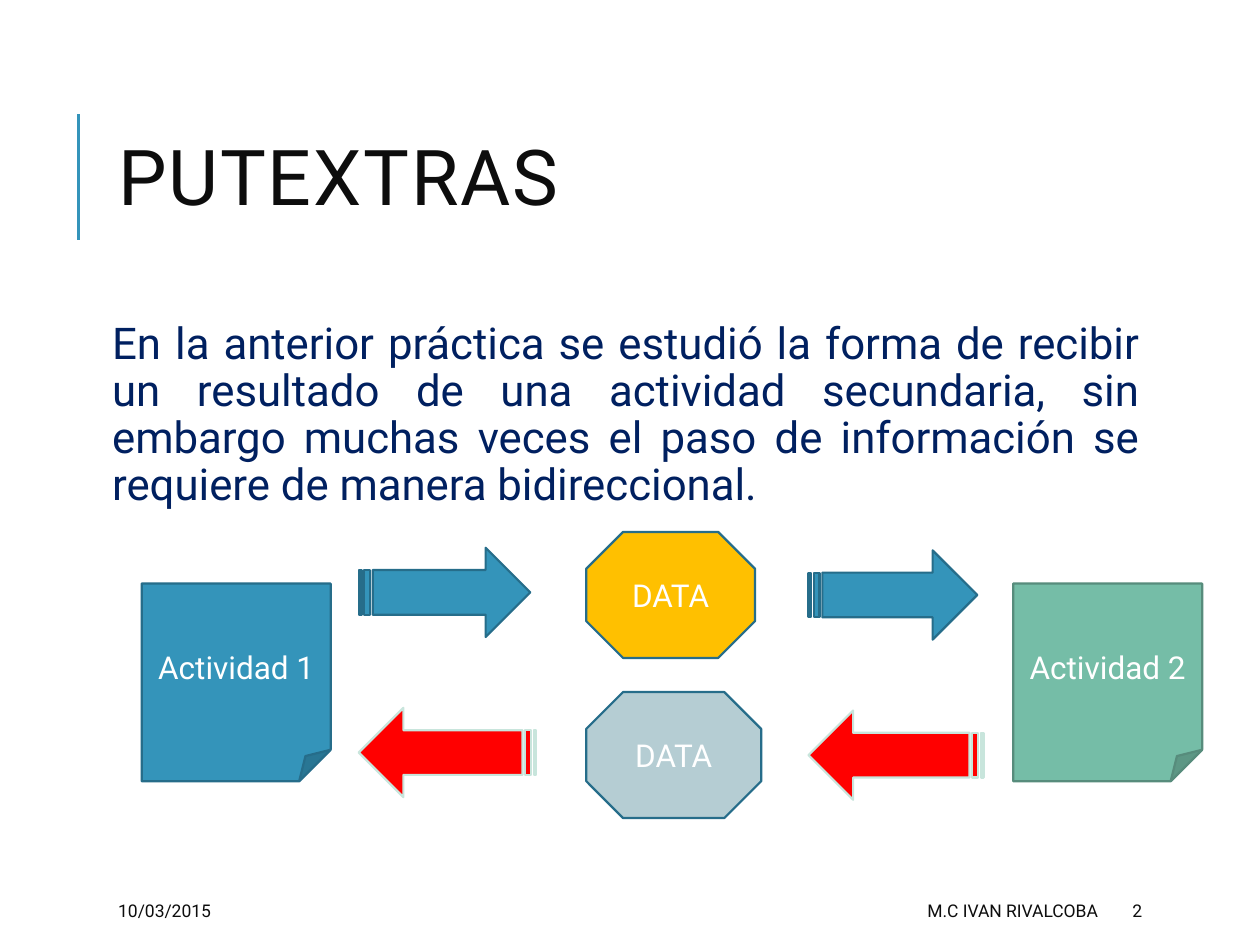
import pptx
import pptx.util
import pptx.dml.color
import pptx.enum.shapes
import pptx.enum.text
import lxml.etree
from dataclasses import dataclass

Pt = pptx.util.Pt
Shape = pptx.enum.shapes.MSO_SHAPE
Align = pptx.enum.text.PP_ALIGN
Anchor = pptx.enum.text.MSO_ANCHOR


@dataclass(frozen=True)
class Theme:
    font: str = "Roboto"
    ink: str = "0D0D0D"
    navy: str = "002060"
    white: str = "FFFFFF"
    blue: str = "3494BA"
    blue_edge: str = "266D8A"
    green: str = "75BDA7"
    green_edge: str = "578C7C"
    amber: str = "FFC000"
    grey: str = "B5CDD3"
    red: str = "FF0000"
    mint: str = "C8E5DC"
    title_size: float = 44
    body_size: float = 25
    label_size: float = 18
    footer_size: float = 10
    outline: float = 1.25


THEME = Theme()


def rgb(code):
    return pptx.dml.color.RGBColor.from_string(code)


def apply(target, values):
    for name, value in values.items():
        setattr(target, name, value)


def place(shape, box):
    apply(shape, dict(zip(("left", "top", "width", "height"), map(Pt, box))))


def write(shape, text, size, color, align=Align.LEFT, anchor=Anchor.MIDDLE,
          frame_format=None, paragraph_format=None):
    frame = shape.text_frame
    apply(frame, {"word_wrap": True, "auto_size": pptx.enum.text.MSO_AUTO_SIZE.NONE,
                  "vertical_anchor": anchor, **(frame_format or {})})
    paragraph = frame.paragraphs[0]
    apply(paragraph, {"alignment": align, **(paragraph_format or {})})
    run = paragraph.add_run()
    run.text = text
    apply(run.font, {"name": THEME.font, "size": Pt(size)})
    run.font.color.rgb = rgb(color)
    return run


def text_box(slide, box, *args, **formats):
    write(slide.shapes.add_textbox(*map(Pt, box)), *args, **formats)


def block(slide, kind, box, fill, edge, label=None, rotation=0):
    shape = slide.shapes.add_shape(kind, *map(Pt, box))
    shape.shadow.inherit = False
    shape.rotation = rotation
    shape.fill.solid()
    shape.fill.fore_color.rgb = rgb(fill)
    shape.line.color.rgb = rgb(edge)
    shape.line.width = Pt(THEME.outline)
    if label:
        write(shape, label, THEME.label_size, THEME.white, Align.CENTER)


# Title with the rule on its left
def heading(slide, box, text):
    left, top, width, height = box
    title = slide.shapes.title
    place(title, box)
    run = write(title, text, THEME.title_size, THEME.ink,
                paragraph_format={"line_spacing": 0.8})
    run.font._element.set("spc", "100")
    rule_x = left - 15.5
    rule = slide.shapes.add_connector(
        pptx.enum.shapes.MSO_CONNECTOR.STRAIGHT,
        *map(Pt, (rule_x, top + 91, rule_x, top + 19)))
    rule.line.color.rgb = rgb(THEME.blue)
    rule.line.width = Pt(1.5)
    properties = rule._element.spPr
    lxml.etree.SubElement(properties, pptx.oxml.ns.qn("a:effectLst"))


# Justified explanation
def explanation(slide, box, text):
    margins = ("margin_left", "margin_top", "margin_right", "margin_bottom")
    text_box(slide, box, text, THEME.body_size, THEME.navy,
             align=Align.JUSTIFY, anchor=Anchor.TOP,
             frame_format=dict.fromkeys(margins, Pt(3.6)),
             paragraph_format={"line_spacing": 0.9, "space_before": Pt(12),
                               "space_after": Pt(2)})


# Two activities exchanging data: one row of arrows each way
def exchange(slide, box):
    left, top, width, height = box
    note_width, note_height = 108, 113
    notes = (("Actividad 1", 0, THEME.blue, THEME.blue_edge),
             ("Actividad 2", width - note_width, THEME.green, THEME.green_edge))
    for label, offset, fill, edge in notes:
        block(slide, Shape.FOLDED_CORNER,
              (left + offset, top + 29.5, note_width, note_height), fill, edge, label)

    rows = ((0, 96.5, 98, THEME.blue, THEME.blue_edge, THEME.amber, 0),
            (91.5, 100, 101.5, THEME.red, THEME.mint, THEME.grey, 180))
    for row_top, data_width, arrow_width, fill, edge, data_fill, rotation in rows:
        for offset, drop, trim in ((124, 9, 0), (381, 10.5, 1.5)):
            block(slide, Shape.STRIPED_RIGHT_ARROW,
                  (left + offset, top + row_top + drop, arrow_width - trim, 51),
                  fill, edge, rotation=rotation)
        block(slide, Shape.OCTAGON, (left + 254, top + row_top, data_width, 72),
              data_fill, THEME.blue_edge, "DATA")


# Date, author and page number
def footer(slide, box, date, author, page):
    left, top, width, height = box
    parts = ((date, 0, 127.5, Align.LEFT),
             (author, 225.5, 348.5, Align.RIGHT),
             (page, width - 57.5, 57.5, Align.LEFT))
    for text, offset, part_width, align in parts:
        text_box(slide, (left + offset, top, part_width, height), text,
                 THEME.footer_size, THEME.ink, align=align)


deck = pptx.Presentation()
apply(deck, {"slide_width": Pt(720), "slide_height": Pt(540)})
slide = deck.slides.add_slide(deck.slide_layouts.get_by_name("Title Only"))

heading(slide, (60.5, 46, 574, 118), "PUTEXTRAS")
explanation(slide, (60.5, 180, 594, 317),
            "En la anterior práctica se estudió la forma de recibir un resultado "
            "de una actividad secundaria, sin embargo muchas veces el paso de "
            "información se requiere de manera bidireccional.")
exchange(slide, (81, 304, 606, 163.5))
footer(slide, (60.5, 509.5, 637, 21.5), "10/03/2015", "M.C IVAN RIVALCOBA", "2")

deck.save("out.pptx")
